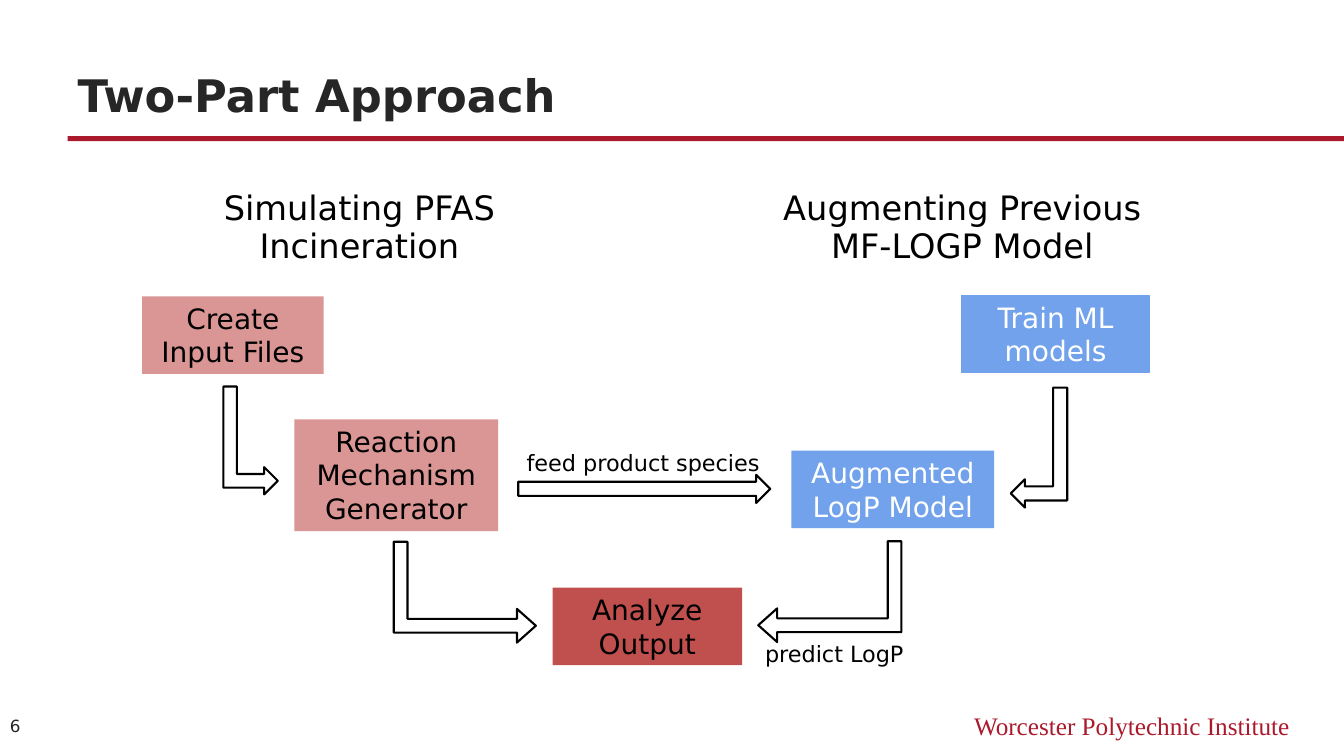
from dataclasses import dataclass

from pptx import Presentation
from pptx.dml.color import RGBColor
from pptx.enum.shapes import MSO_SHAPE as SHAPE
from pptx.enum.text import MSO_ANCHOR as ANCHOR, PP_ALIGN as ALIGN
from pptx.util import Emu, Pt

PX = 9144
SANS = "DejaVu Sans"
SERIF = "Times New Roman"
COLORS = {
    "crimson": "AB192D",
    "dark": "262626",
    "black": "000000",
    "white": "FFFFFF",
    "blue": "71A2EB",
    "pink": "D99694",
    "red": "C0504D",
}


@dataclass
class Label:
    text: str
    at: tuple[int, int, int, int]
    size: int
    color: str = "black"
    font: str = SANS
    align: ALIGN = ALIGN.CENTER
    anchor: ANCHOR = ANCHOR.TOP
    spacing: float = 1.0


@dataclass
class Step:
    text: str
    at: tuple[int, int, int, int]
    fill: str
    color: str = "black"
    border: float = 0


@dataclass
class Arrow:
    at: tuple[int, int, int, int]
    kind: SHAPE = SHAPE.BENT_UP_ARROW
    rotation: int = 0
    mirrored: bool = False
    adjustments: tuple[float, ...] = ()


SLIM = (0.136, 0.167, 0.188)
LABELS = [
    Label("Worcester Polytechnic Institute", (800, 700, 489, 40), 18,
          "crimson", SERIF, ALIGN.RIGHT),
    Label("Simulating PFAS\vIncineration", (90, 183, 533, 492), 24, spacing=0.95),
    Label("Augmenting Previous\vMF-LOGP Model", (688, 183, 533, 492), 24, spacing=0.95),
    Label("6", (0, 699, 67, 43), 12, "dark", align=ALIGN.LEFT, anchor=ANCHOR.MIDDLE),
    Label("predict LogP", (745, 630, 165, 37), 16),
    Label("feed product species", (503, 441, 270, 37), 16),
]
STEPS = [
    Step("Train ML models", (954, 293, 186, 77), "blue", "white", 0.75),
    Step("Augmented LogP Model", (785, 447, 201, 77), "blue", "white"),
    Step("Analyze Output", (548, 583, 188, 77), "red"),
    Step("Create Input Files", (141, 294, 180, 77), "pink"),
    Step("Reaction Mechanism Generator", (292, 416, 202, 111), "pink"),
]
ARROWS = [
    Arrow((971, 416, 119, 56), rotation=270, mirrored=True),
    Arrow((773, 516, 100, 142), rotation=270, mirrored=True, adjustments=SLIM),
    Arrow((411, 517, 100, 141), rotation=90, adjustments=SLIM),
    Arrow((195, 410, 107, 54), rotation=90),
    Arrow((514, 471, 250, 28), SHAPE.RIGHT_ARROW),
]


def rgb(name: str) -> RGBColor:
    return RGBColor.from_string(COLORS[name])


def emu(at: tuple[int, int, int, int]) -> list[Emu]:
    return [Emu(v * PX) for v in at]


def write(tf, label: Label, bold: bool = False) -> None:
    tf.text = label.text
    tf.word_wrap = True
    tf.vertical_anchor = label.anchor
    p = tf.paragraphs[0]
    p.alignment = label.align
    p.line_spacing = label.spacing
    for r in p.runs:
        r.font.name = label.font
        r.font.size = Pt(label.size)
        r.font.bold = bold
        r.font.color.rgb = rgb(label.color)


def add_filled(slide, kind: SHAPE, at: tuple[int, int, int, int], fill: str,
               line: str, width: float = 0):
    sp = slide.shapes.add_shape(kind, *emu(at))
    sp.shadow.inherit = False
    sp.fill.solid()
    sp.fill.fore_color.rgb = rgb(fill)
    if width:
        sp.line.color.rgb = rgb(line)
        sp.line.width = Pt(width)
    else:
        sp.line.fill.background()
    return sp


def add_title(slide, text: str) -> None:
    at = (67, 38, 1200, 88)
    title = slide.shapes.title
    title.left, title.top, title.width, title.height = emu(at)
    write(title.text_frame,
          Label(text, at, 32, "dark", align=ALIGN.LEFT, anchor=ANCHOR.BOTTOM), bold=True)


def add_label(slide, label: Label) -> None:
    write(slide.shapes.add_textbox(*emu(label.at)).text_frame, label)


def add_step(slide, step: Step) -> None:
    sp = add_filled(slide, SHAPE.RECTANGLE, step.at, step.fill, step.fill, step.border)
    write(sp.text_frame, Label(step.text, step.at, 20, step.color))


def add_arrow(slide, arrow: Arrow) -> None:
    sp = add_filled(slide, arrow.kind, arrow.at, "white", "black", 1.5)
    sp.rotation = arrow.rotation
    if arrow.mirrored:
        sp.element.spPr.xfrm.set("flipH", "1")
    for i, value in enumerate(arrow.adjustments):
        sp.adjustments[i] = value


def main() -> None:
    prs = Presentation()
    prs.slide_width, prs.slide_height = Emu(1333 * PX), Emu(750 * PX)
    slide = prs.slides.add_slide(prs.slide_layouts[5])
    add_title(slide, "Two-Part Approach")
    add_filled(slide, SHAPE.RECTANGLE, (67, 135, 1266, 5), "crimson", "crimson")
    for step in STEPS:
        add_step(slide, step)
    for arrow in ARROWS:
        add_arrow(slide, arrow)
    for label in LABELS:
        add_label(slide, label)
    prs.save("out.pptx")


if __name__ == "__main__":
    main()
